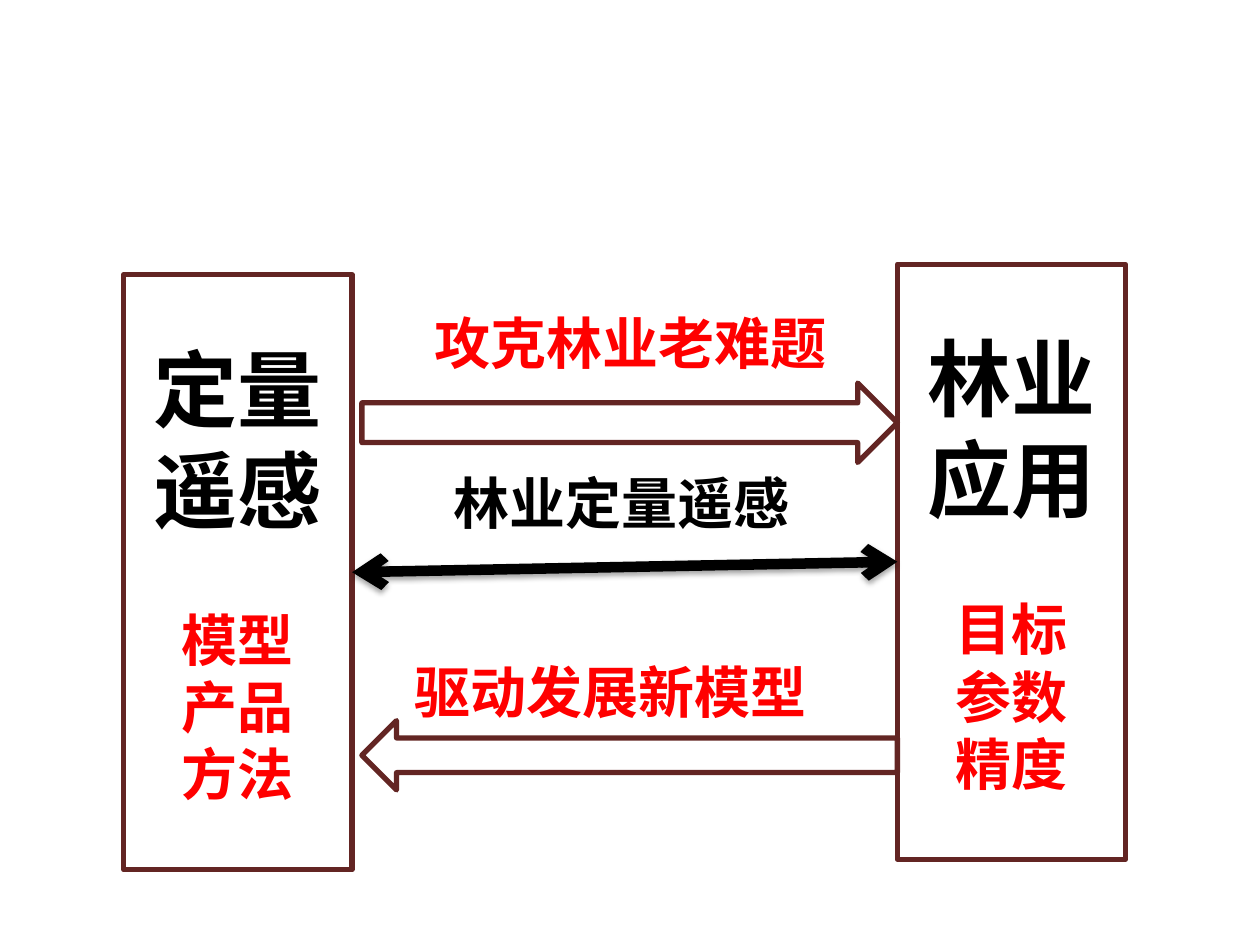
from lxml import etree
from pptx import Presentation
from pptx.dml.color import RGBColor
from pptx.enum.shapes import MSO_CONNECTOR, MSO_SHAPE
from pptx.enum.text import MSO_ANCHOR, MSO_AUTO_SIZE, PP_ALIGN
from pptx.oxml import parse_xml
from pptx.oxml.ns import nsdecls, qn
from pptx.util import Pt

BLACK = RGBColor(0x00, 0x00, 0x00)
RED = RGBColor(0xFF, 0x00, 0x00)
MAROON = RGBColor(0x63, 0x25, 0x23)
LATIN_FONT, CJK_FONT = "Calibri", "Noto Sans CJK SC"

# heading, items, left, top
PILLARS = [
    ("定量遥感", ["模型", "产品", "方法"], 70.8, 157),
    ("林业应用", ["目标", "参数", "精度"], 512.8, 151),
]
PILLAR_WIDTH, PILLAR_HEIGHT = 130.4, 340
HEADING_SIZE, ITEM_SIZE = 48, 32
ITEMS_GAP = 38

# top, height, rotation
BLOCK_ARROWS = [(218.9, 45.4, 0), (411.8, 39.6, 180)]
ARROW_LEFT, ARROW_WIDTH = 206.8, 306

# text, colour, left, top, width
LABELS = [
    ("林业定量遥感", BLACK, 252, 264.3, 208.8),
    ("攻克林业老难题", RED, 241.2, 172.8, 241.9),
    ("驱动发展新模型", RED, 229.8, 372.3, 241.9),
]
LABEL_HEIGHT = 46


def format_runs(paragraph, size, color):
    for run in paragraph.runs:
        run.font.size = Pt(size)
        run.font.bold = True
        run.font.color.rgb = color
        run.font.name = LATIN_FONT
        etree.SubElement(run.font._element, qn("a:ea"), typeface=CJK_FONT)


def add_outline(slide, preset, left, top, width, height):
    shape = slide.shapes.add_shape(preset, Pt(left), Pt(top), Pt(width), Pt(height))
    shape.shadow.inherit = False
    shape.fill.background()
    shape.line.color.rgb = MAROON
    shape.line.width = Pt(3)
    return shape


def add_pillar(slide, heading, items, left, top):
    pillar = add_outline(slide, MSO_SHAPE.RECTANGLE, left, top, PILLAR_WIDTH, PILLAR_HEIGHT)
    frame = pillar.text_frame
    frame.word_wrap = True
    frame.vertical_anchor = MSO_ANCHOR.MIDDLE
    frame.text = "\n".join([heading, *items])
    for index, paragraph in enumerate(frame.paragraphs):
        paragraph.alignment = PP_ALIGN.CENTER
        if index == 0:
            format_runs(paragraph, HEADING_SIZE, BLACK)
        else:
            format_runs(paragraph, ITEM_SIZE, RED)
    frame.paragraphs[1].space_before = Pt(ITEMS_GAP)
    return pillar


def add_label(slide, text, color, left, top, width):
    label = slide.shapes.add_textbox(Pt(left), Pt(top), Pt(width), Pt(LABEL_HEIGHT))
    frame = label.text_frame
    frame.word_wrap = False
    frame.auto_size = MSO_AUTO_SIZE.SHAPE_TO_FIT_TEXT
    frame.text = text
    format_runs(frame.paragraphs[0], ITEM_SIZE, color)


def add_double_arrow(slide, start, end):
    """Join the facing sides of two pillars with a shadowed two-headed line."""
    link = slide.shapes.add_connector(MSO_CONNECTOR.STRAIGHT, 0, 0, 0, 0)
    link.begin_connect(start, 3)
    link.end_connect(end, 1)
    link.line.color.rgb = BLACK
    link.line.width = Pt(6)
    properties = link._element.spPr
    outline = properties.find(qn("a:ln"))
    for tag in ("a:headEnd", "a:tailEnd"):
        etree.SubElement(outline, qn(tag), type="arrow")
    properties.append(parse_xml(
        f'<a:effectLst {nsdecls("a")}>'
        f'<a:outerShdw blurRad="{Pt(3.1)}" dist="{Pt(1.8)}" dir="5400000" rotWithShape="0">'
        '<a:srgbClr val="000000"><a:alpha val="35000"/></a:srgbClr>'
        '</a:outerShdw></a:effectLst>'))


def main():
    presentation = Presentation()
    presentation.slide_width, presentation.slide_height = Pt(720), Pt(540)
    slide = presentation.slides.add_slide(presentation.slide_layouts[6])

    sensing, forestry = [add_pillar(slide, *pillar) for pillar in PILLARS]
    add_double_arrow(slide, sensing, forestry)
    for top, height, rotation in BLOCK_ARROWS:
        arrow = add_outline(slide, MSO_SHAPE.RIGHT_ARROW, ARROW_LEFT, top, ARROW_WIDTH, height)
        arrow.rotation = rotation
    for label in LABELS:
        add_label(slide, *label)

    presentation.save("out.pptx")


if __name__ == "__main__":
    main()
